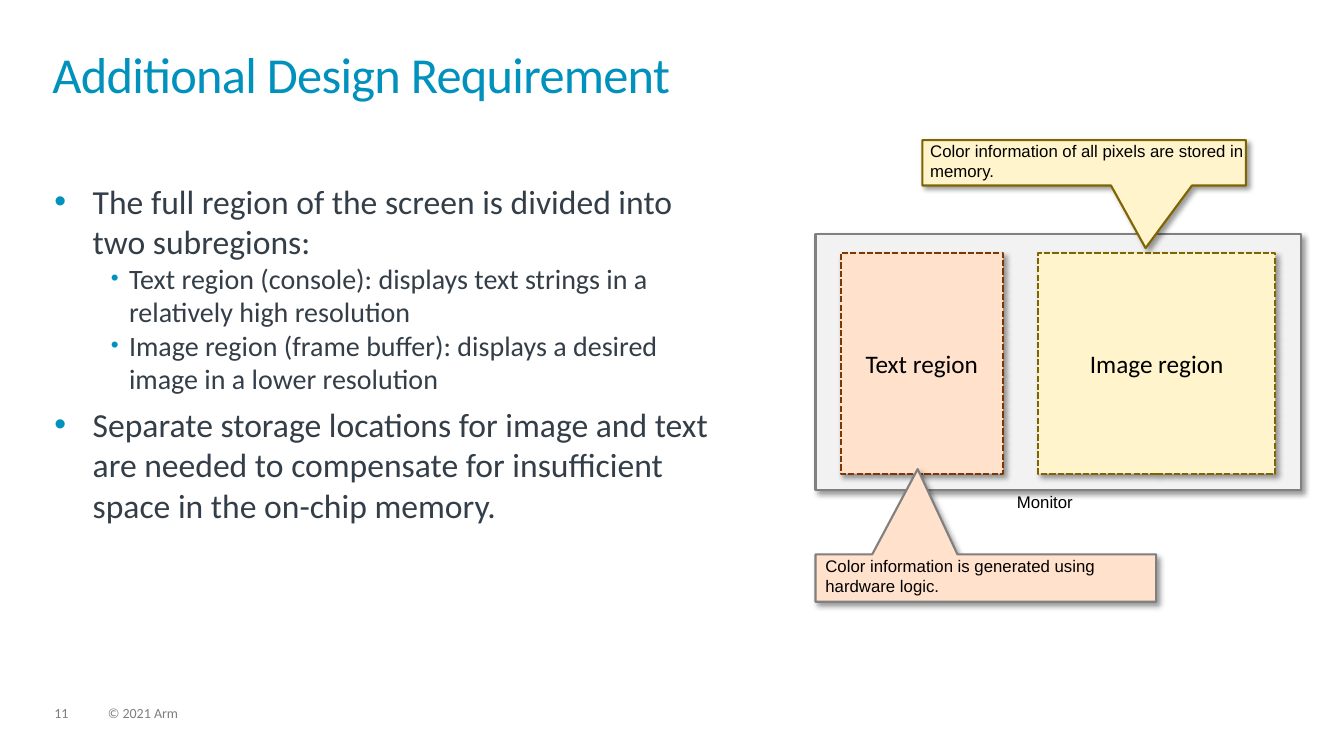
from dataclasses import dataclass

from lxml.etree import SubElement
from pptx import Presentation
from pptx.dml.color import RGBColor
from pptx.enum.dml import MSO_LINE_DASH_STYLE as Dash
from pptx.enum.shapes import MSO_SHAPE as Shape
from pptx.enum.text import MSO_ANCHOR as Anchor, MSO_AUTO_SIZE as AutoSize, PP_ALIGN as Align
from pptx.oxml.ns import qn
from pptx.util import Inches, Pt


@dataclass(frozen=True)
class Theme:
    """Colours, fonts and type sizes of the slide."""
    heading: str = "0091BD"
    body: str = "333E48"
    footer: str = "7F7F7F"
    black: str = "000000"
    gray: str = "808080"
    screen: str = "F2F2F2"
    cream: str = "FFF4CC"
    olive: str = "806400"
    peach: str = "FFE1CC"
    brown: str = "803600"
    sans: str = "Calibri"
    label_sans: str = "Arial"
    title_size: float = 36
    point_size: float = 24
    detail_size: float = 20
    region_size: float = 18
    label_size: float = 12
    footer_size: float = 10


THEME = Theme()
COLUMNS, ROWS = 160, 90
CELL = Inches(7.5) / ROWS
REGION_TOP, REGION_ROWS = 30.12, 26.28
FOOTER_TOP, FOOTER_ROWS = 84.12, 1.8
POINTS = (
    (0, "The full region of the screen is divided into two subregions:"),
    (1, "Text region (console): displays text strings in a relatively high resolution"),
    (1, "Image region (frame buffer): displays a desired image in a lower resolution"),
    (0, "Separate storage locations for image and text are needed to compensate "
        "for insufficient space in the on-chip memory."),
)


def grid(*cells):
    """Turn columns and rows into slide lengths."""
    return [round(cell * CELL) for cell in cells]


def style(para, size, color, font=THEME.sans):
    """Set the font of a whole paragraph."""
    para.font.size = Pt(size)
    para.font.name = font
    para.font.color.rgb = RGBColor.from_string(color)


def add_box(page, place, inset=True):
    """Add a wrapping text box and return its frame."""
    frame = page.shapes.add_textbox(*grid(*place)).text_frame
    frame.word_wrap = True
    if not inset:
        frame.margin_left = frame.margin_top = frame.margin_right = frame.margin_bottom = 0
    return frame


def add_title(page, text):
    """Add the tightly spaced heading."""
    para = add_box(page, (6.24, 6.24, 147.36, 8.64), inset=False).paragraphs[0]
    para.text = text
    para.line_spacing = 0.85
    style(para, THEME.title_size, THEME.heading)
    para._p.pPr.find(qn("a:defRPr")).set("spc", "-50")


def add_footer(page, left, width, text):
    """Add one item of the footer line."""
    frame = add_box(page, (left, FOOTER_TOP, width, FOOTER_ROWS), inset=False)
    frame.auto_size = AutoSize.SHAPE_TO_FIT_TEXT
    para = frame.paragraphs[0]
    para.text = text
    para.line_spacing = 0.9
    style(para, THEME.footer_size, THEME.footer)


def add_bullet(para, level):
    """Give a paragraph its hanging bullet."""
    indent, hang = ((0.38, 0.38), (0.74, 0.18))[level]
    props = para._p.get_or_add_pPr()
    props.set("marL", str(Inches(indent)))
    props.set("indent", str(-Inches(hang)))
    color = SubElement(props, qn("a:buClr"))
    SubElement(color, qn("a:srgbClr"), val=THEME.heading)
    if level:
        SubElement(props, qn("a:buSzPct"), val="80000")
    SubElement(props, qn("a:buFont"), typeface=THEME.label_sans)
    SubElement(props, qn("a:buChar"), char="•")


def add_points(page, points):
    """Add the two-level bullet list."""
    frame = add_box(page, (6.48, 21.48, 78.72, 53.64), inset=False)
    for index, (level, text) in enumerate(points):
        para = frame.add_paragraph() if index else frame.paragraphs[0]
        para.text = text
        para.level = level
        add_bullet(para, level)
        if index and level == 0:
            para.space_before = Pt(6)
        style(para, THEME.detail_size if level else THEME.point_size, THEME.body)


def add_shadow(shape):
    """Add a soft shadow to the lower right."""
    shape.shadow.inherit = False
    effects = shape._element.spPr.find(qn("a:effectLst"))
    shadow = SubElement(effects, qn("a:outerShdw"), blurRad=str(Pt(4)), dist=str(Pt(3)),
                        dir="2700000", algn="tl", rotWithShape="0")
    color = SubElement(shadow, qn("a:srgbClr"), val=THEME.black)
    SubElement(color, qn("a:alpha"), val="40000")


def add_panel(page, place, fill, line, kind=Shape.RECTANGLE):
    """Add an outlined shape with a shadow."""
    panel = page.shapes.add_shape(kind, *grid(*place))
    panel.fill.solid()
    panel.fill.fore_color.rgb = RGBColor.from_string(fill)
    panel.line.color.rgb = RGBColor.from_string(line)
    panel.line.width = Pt(1.5)
    add_shadow(panel)
    return panel


def add_region(page, left, width, text, fill, line):
    """Add a dashed part of the screen with its name."""
    region = add_panel(page, (left, REGION_TOP, width, REGION_ROWS), fill, line)
    region.line.dash_style = Dash.SQUARE_DOT
    frame = region.text_frame
    frame.word_wrap = False
    frame.vertical_anchor = Anchor.MIDDLE
    para = frame.paragraphs[0]
    para.text = text
    para.alignment = Align.CENTER
    style(para, THEME.region_size, THEME.black)


def add_callout(page, place, tip, fill, line):
    """Add a callout whose tip is given as shares of its size."""
    callout = add_panel(page, place, fill, line, Shape.RECTANGULAR_CALLOUT)
    for index, share in enumerate(tip):
        callout.adjustments[index] = share


def add_label(page, place, text):
    """Add a small black label."""
    frame = add_box(page, place)
    frame.auto_size = AutoSize.SHAPE_TO_FIT_TEXT
    para = frame.paragraphs[0]
    para.text = text
    style(para, THEME.label_size, THEME.black, THEME.label_sans)


def add_monitor(page):
    """Add the monitor diagram with its regions and callouts."""
    add_panel(page, (97.08, 27.84, 57.84, 30.48), THEME.screen, THEME.gray)
    add_region(page, 123.6, 28.2, "Image region", THEME.cream, THEME.olive)
    add_region(page, 100.08, 19.32, "Text region", THEME.peach, THEME.brown)
    add_callout(page, (109.8, 16.68, 38.52, 5.4), (0.19, 1.88), THEME.cream, THEME.olive)
    add_label(page, (109.56, 16.2, 41.52, 6.12),
              "Color information of all pixels are stored in memory.")
    add_callout(page, (97.08, 66, 40.56, 5.64), (-0.2, -2.3), THEME.peach, THEME.gray)
    add_label(page, (97.08, 65.52, 40.56, 6.12),
              "Color information is generated using hardware logic.")
    add_label(page, (119.88, 57.96, 12.24, 3.6), "Monitor")


def main():
    """Build the slide and save the deck."""
    deck = Presentation()
    deck.slide_width, deck.slide_height = grid(COLUMNS, ROWS)
    page = deck.slides.add_slide(deck.slide_layouts[6])
    add_footer(page, 6.48, 4.08, "11")
    add_footer(page, 12.84, 60.84, "© 2021 Arm")
    add_title(page, "Additional Design Requirement")
    add_points(page, POINTS)
    add_monitor(page)
    deck.save("out.pptx")


if __name__ == "__main__":
    main()
